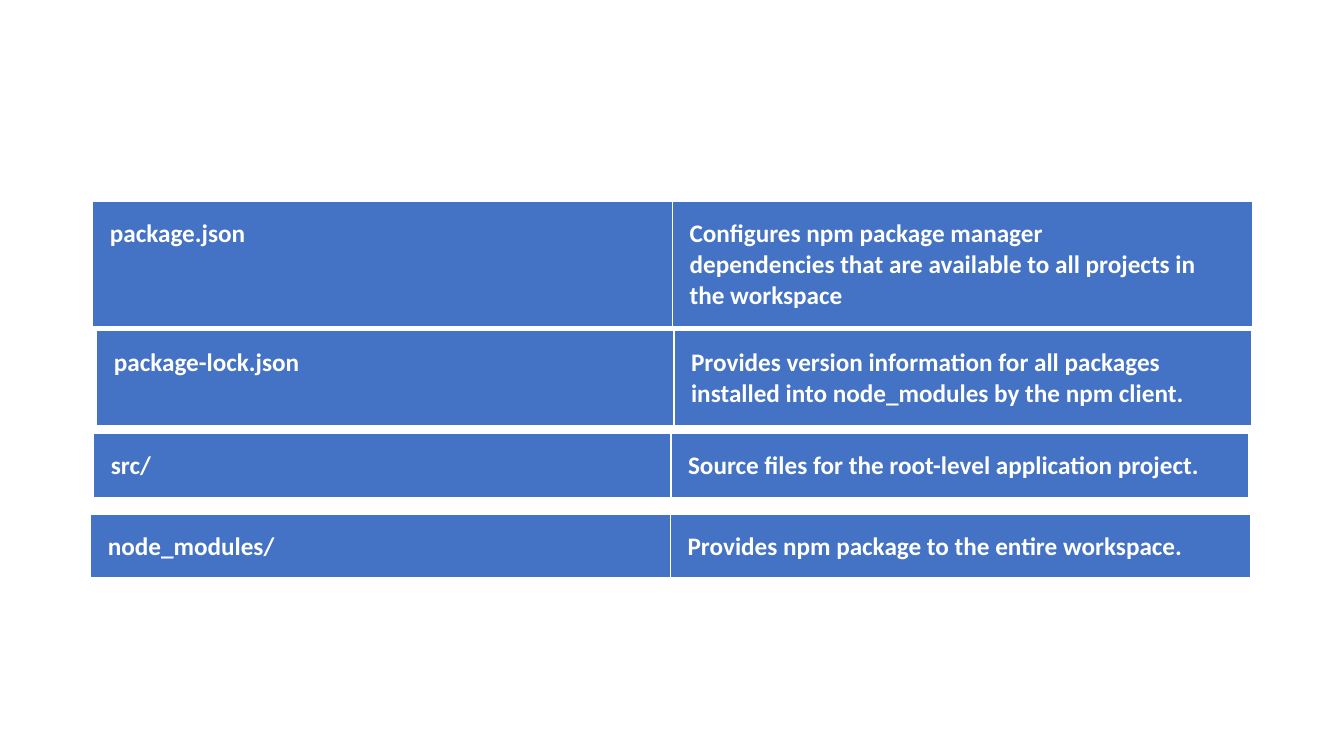
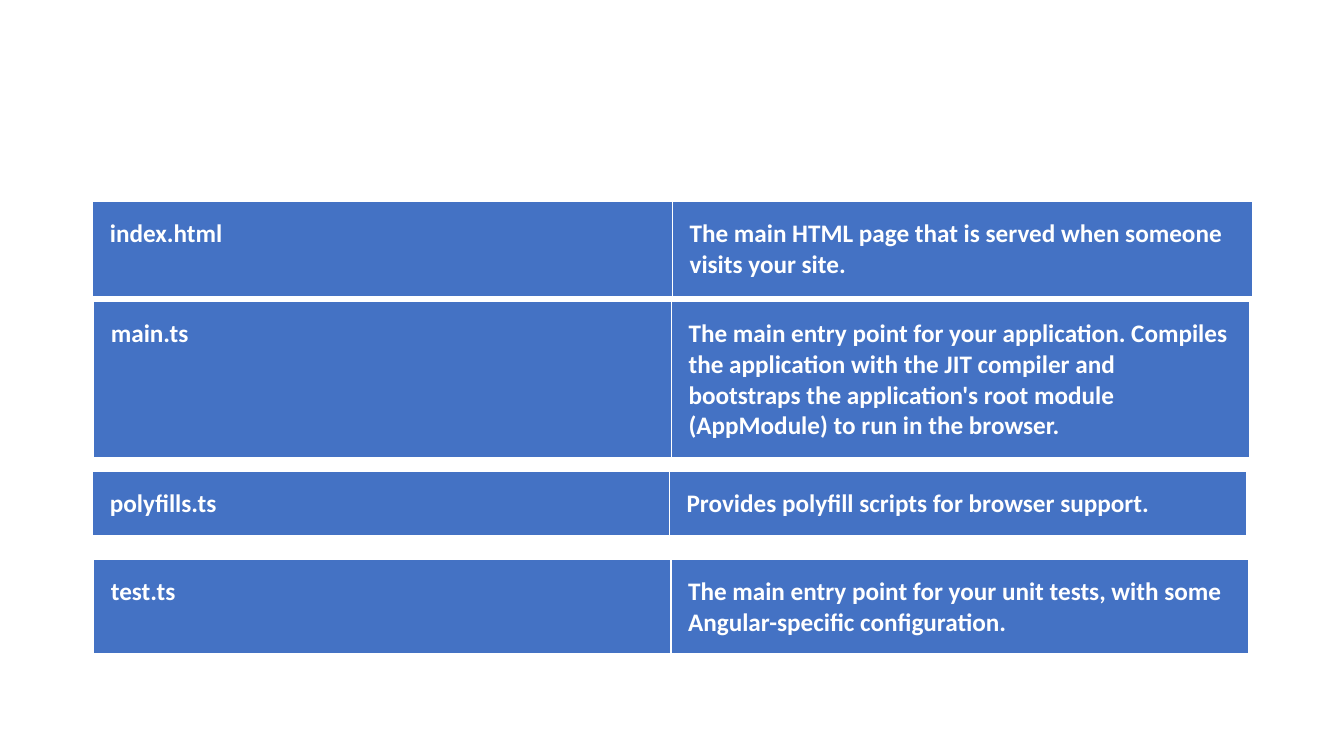
from dataclasses import dataclass

from lxml import etree
from pptx import Presentation
from pptx.dml.color import RGBColor
from pptx.oxml.ns import qn
from pptx.util import Inches, Pt


@dataclass(frozen=True)
class Theme:
    """Colours, type and cell measures shared by the slides."""
    band: str = "4472C4"
    light: str = "FFFFFF"
    font: str = "Calibri"
    size: int = 18
    inset: float = 0.17
    thin: int = 1
    thick: int = 3


THEME = Theme()

WORKSPACE_FILES = [
    ((0.92, 2, 11.5, 1.23), "package.json",
     "Configures npm package manager dependencies\u00a0that are available "
     "to all projects in the workspace"),
    ((0.96, 3.28, 11.45, 0.93), "package-lock.json",
     "Provides version information for all packages installed "
     "into\u00a0node_modules\u00a0by the npm client."),
    ((0.93, 4.3, 11.45, 0.64), "src/",
     "Source files for the root-level application project."),
    ((0.9, 5.1, 11.5, 0.63), "node_modules/",
     "Provides npm package to the entire workspace.\u00a0"),
]

SOURCE_FILES = [
    ((0.92, 2, 11.5, 0.93), "index.html",
     "The main HTML page that is served when someone visits your site."),
    ((0.93, 2.99, 11.46, 1.53), "main.ts",
     "The main entry point for your application. Compiles the application "
     "with the\u00a0JIT compiler and bootstraps the application's root module "
     "(AppModule) to run in the browser."),
    ((0.92, 4.68, 11.44, 0.63), "polyfills.ts",
     "Provides polyfill scripts for browser support."),
    ((0.93, 5.55, 11.45, 0.93), "test.ts",
     "The main entry point for your unit tests, with some "
     "Angular-specific configuration."),
]


def add_borders(cell):
    """Edge a cell in white, with a heavier line at the bottom."""
    properties = cell._tc.get_or_add_tcPr()
    for position, side in enumerate("LRTB"):
        weight = THEME.thick if side == "B" else THEME.thin
        edge = etree.Element(qn(f"a:ln{side}"), w=str(Pt(weight)))
        fill = etree.SubElement(edge, qn("a:solidFill"))
        etree.SubElement(fill, qn("a:srgbClr"), val=THEME.light)
        properties.insert(position, edge)


def fill_cell(cell, wording):
    """Write and format one cell of a file entry."""
    cell.text_frame.text = wording
    cell.margin_left = cell.margin_right = Inches(THEME.inset)
    cell.margin_top = cell.margin_bottom = Inches(THEME.inset)
    cell.fill.solid()
    cell.fill.fore_color.rgb = RGBColor.from_string(THEME.band)
    font = cell.text_frame.paragraphs[0].runs[0].font
    font.name, font.size, font.bold = THEME.font, Pt(THEME.size), True
    font.color.rgb = RGBColor.from_string(THEME.light)
    add_borders(cell)


def add_file_entry(slide, box, file_name, purpose):
    """Place a file name beside its purpose in two equal columns."""
    left, top, width, height = map(Inches, box)
    entry = slide.shapes.add_table(1, 2, left, top, width, height).table
    for column, wording in enumerate((file_name, purpose)):
        fill_cell(entry.cell(0, column), wording)


def add_file_slide(deck, files):
    """Add a slide that lists files with their purposes."""
    slide = deck.slides.add_slide(deck.slide_layouts[6])
    for box, file_name, purpose in files:
        add_file_entry(slide, box, file_name, purpose)


def main():
    """Build and save the deck."""
    deck = Presentation()
    deck.slide_width, deck.slide_height = Inches(13.33), Inches(7.5)
    for files in (WORKSPACE_FILES, SOURCE_FILES):
        add_file_slide(deck, files)
    deck.save("out.pptx")


main()
